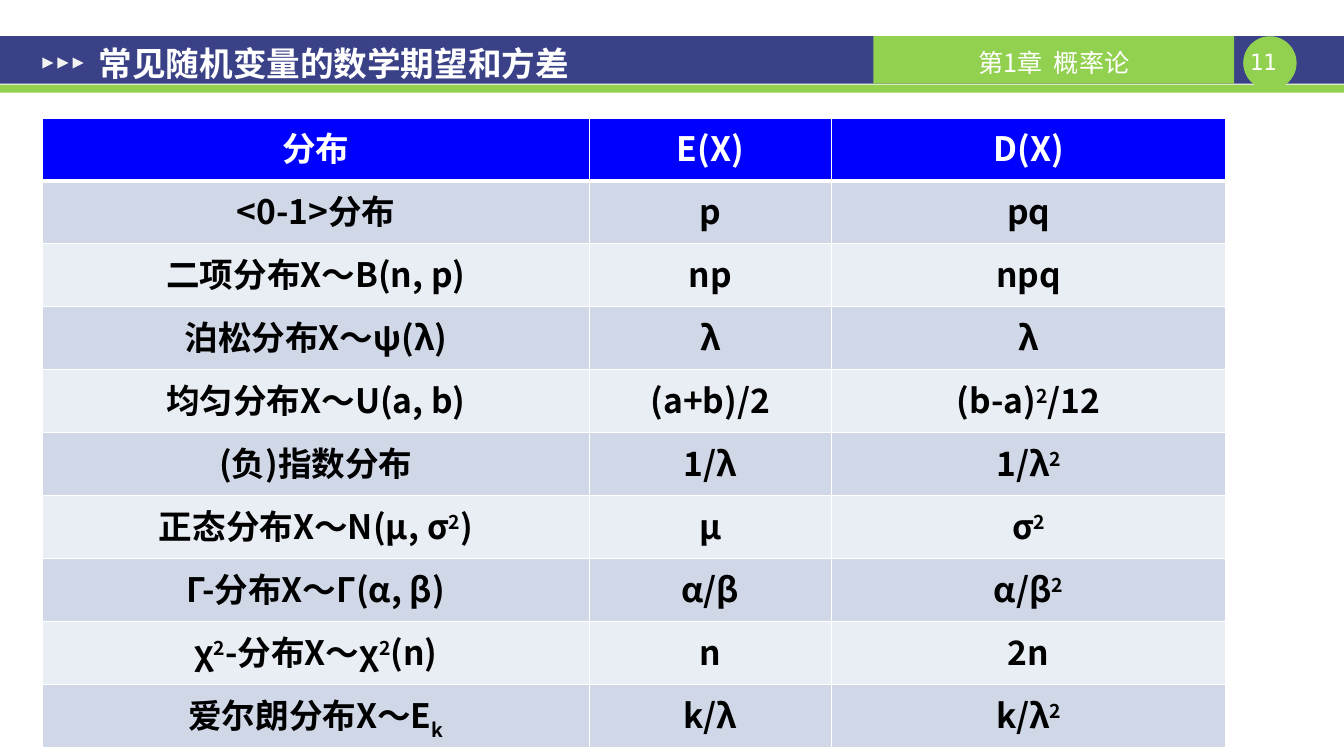
from lxml.etree import SubElement
from pptx import Presentation
from pptx.dml.color import RGBColor
from pptx.enum.shapes import MSO_SHAPE as Shape
from pptx.enum.text import MSO_ANCHOR as Anchor, MSO_AUTO_SIZE as AutoSize, PP_ALIGN as Align
from pptx.oxml.ns import qn
from pptx.util import Inches, Pt

CJK, MONO = "Noto Sans CJK SC", "DejaVu Sans Mono"
WHITE, BLACK, NAVY, GREEN, PALE = "FFFFFF", "000000", "3A4187", "92D050", "F2F2F2"
HEADER, BANDS = "0000FF", ("D0D8E8", "E9EDF4")

# ^ raises and _ lowers the character after it
SHIFTS = {"^": "30000", "_": "-25000"}
DISTRIBUTIONS = [
    ("分布", "E(X)", "D(X)"),
    ("<0-1>分布", "p", "pq"),
    ("二项分布X～B(n, p)", "np", "npq"),
    ("泊松分布X～ψ(λ)", "λ", "λ"),
    ("均匀分布X～U(a, b)", "(a+b)/2", "(b-a)^2/12"),
    ("(负)指数分布", "1/λ", "1/λ^2"),
    ("正态分布X～N(μ, σ^2)", "μ", "σ^2"),
    ("Γ-分布X～Γ(α, β)", "α/β", "α/β^2"),
    ("χ^2-分布X～χ^2(n)", "n", "2n"),
    ("爱尔朗分布X～E_k", "k/λ", "k/λ^2"),
]


def color(value):
    return RGBColor.from_string(value)


def split_shifts(text):
    """Split marked text into (text, baseline) pieces."""
    pieces, plain, shift = [], "", None
    for char in text:
        if shift:
            pieces.append((char, shift))
            shift = None
        elif char in SHIFTS:
            pieces.append((plain, None))
            plain, shift = "", SHIFTS[char]
        else:
            plain += char
    return [piece for piece in pieces + [(plain, None)] if piece[0]]


def write(frame, text, size=24, font=CJK, fill=WHITE, bold=False, align=Align.CENTER,
          anchor=Anchor.MIDDLE, insets=(0, 0, 0, 0), wrap=True):
    frame.word_wrap = wrap
    frame.vertical_anchor = anchor
    frame.margin_left, frame.margin_top, frame.margin_right, frame.margin_bottom = map(Inches, insets)
    para = frame.paragraphs[0]
    para.alignment = align
    for piece, shift in split_shifts(text):
        span = para.add_run()
        span.text = piece
        span.font.size, span.font.bold, span.font.name = Pt(size), bold, font
        span.font.color.rgb = color(fill)
        props = span.font._element
        SubElement(props, qn("a:ea")).set("typeface", CJK)
        if shift:
            props.set("baseline", shift)


def add_block(page, kind, box, fill, rotation=0):
    block = page.shapes.add_shape(kind, *map(Inches, box))
    block.shadow.inherit = False
    block.fill.solid()
    block.fill.fore_color.rgb = color(fill)
    block.line.fill.background()
    block.rotation = rotation
    return block


def add_heading(page, box, title, chapter, number):
    left, top, width, height = box
    bar = 0.47
    # Bars, page badge and chapter label
    add_block(page, Shape.RECTANGLE, (left, top, width, bar), NAVY)
    add_block(page, Shape.RECTANGLE, (left, top + 0.48, width, height - 0.48), GREEN)
    add_block(page, Shape.OVAL, (left + 12.34, top, 0.53, 0.53), GREEN)
    badge = page.shapes.add_textbox(*map(Inches, (left + 12.34, top + 0.12, 0.53, 0.27)))
    write(badge.text_frame, number, size=16, font=MONO, anchor=Anchor.TOP)
    label = add_block(page, Shape.RECTANGLE, (left + 8.67, top, 3.58, bar), GREEN)
    write(label.text_frame, chapter, size=18, insets=(0.1, 0.04, 0.1, 0))

    # Three arrowheads
    for index in range(3):
        add_block(page, Shape.ISOSCELES_TRIANGLE,
                  (left + 0.42 + 0.15 * index, top + 0.21, 0.11, 0.11), PALE, rotation=90)

    # Title, brought in front of the bar
    holder = page.shapes.title
    holder.left, holder.top, holder.width, holder.height = map(
        Inches, (left + 0.85, top + 0.03, 5.83, bar))
    holder.text_frame.auto_size = AutoSize.NONE
    write(holder.text_frame, title, font="Arial", bold=True, align=Align.LEFT,
          insets=(0.13, 0.07, 0.13, 0.07))
    holder.element.getparent().append(holder.element)


def add_borders(cell, **widths):
    props = cell._tc.get_or_add_tcPr()
    for side in "LRTB":
        line = SubElement(props, qn(f"a:ln{side}"), w=str(Pt(widths.get(side, 1))))
        SubElement(SubElement(line, qn("a:solidFill")), qn("a:srgbClr"), val=WHITE)


def add_distributions(page, box, rows, columns):
    table = page.shapes.add_table(len(rows), len(columns), *map(Inches, box)).table
    for column, width in zip(table.columns, columns):
        column.width = Inches(width)
    for row_index, texts in enumerate(rows):
        is_header = row_index == 0
        table.rows[row_index].height = Inches(box[3] / len(rows))
        for column_index, text in enumerate(texts):
            cell = table.cell(row_index, column_index)
            add_borders(cell, B=3 if is_header else 1)
            cell.fill.solid()
            cell.fill.fore_color.rgb = color(HEADER if is_header else BANDS[(row_index - 1) % 2])
            write(cell.text_frame, text, fill=WHITE if is_header else BLACK, bold=True,
                  anchor=Anchor.TOP)
            cell.margin_left = cell.margin_right = Inches(0.1)
            cell.margin_top = cell.margin_bottom = Inches(0.05)
            cell.vertical_anchor = Anchor.TOP


def main():
    deck = Presentation()
    deck.slide_width, deck.slide_height = Inches(13.34), Inches(7.5)
    page = deck.slides.add_slide(deck.slide_layouts.get_by_name("Title Only"))
    add_heading(page, (0, 0.36, 13.34, 0.56), "常见随机变量的数学期望和方差", "第1章  概率论", "11 ")
    add_distributions(page, (0.42, 1.17, 11.75, 6.25), DISTRIBUTIONS, (5.43, 2.4, 3.92))
    deck.save("out.pptx")


if __name__ == "__main__":
    main()
